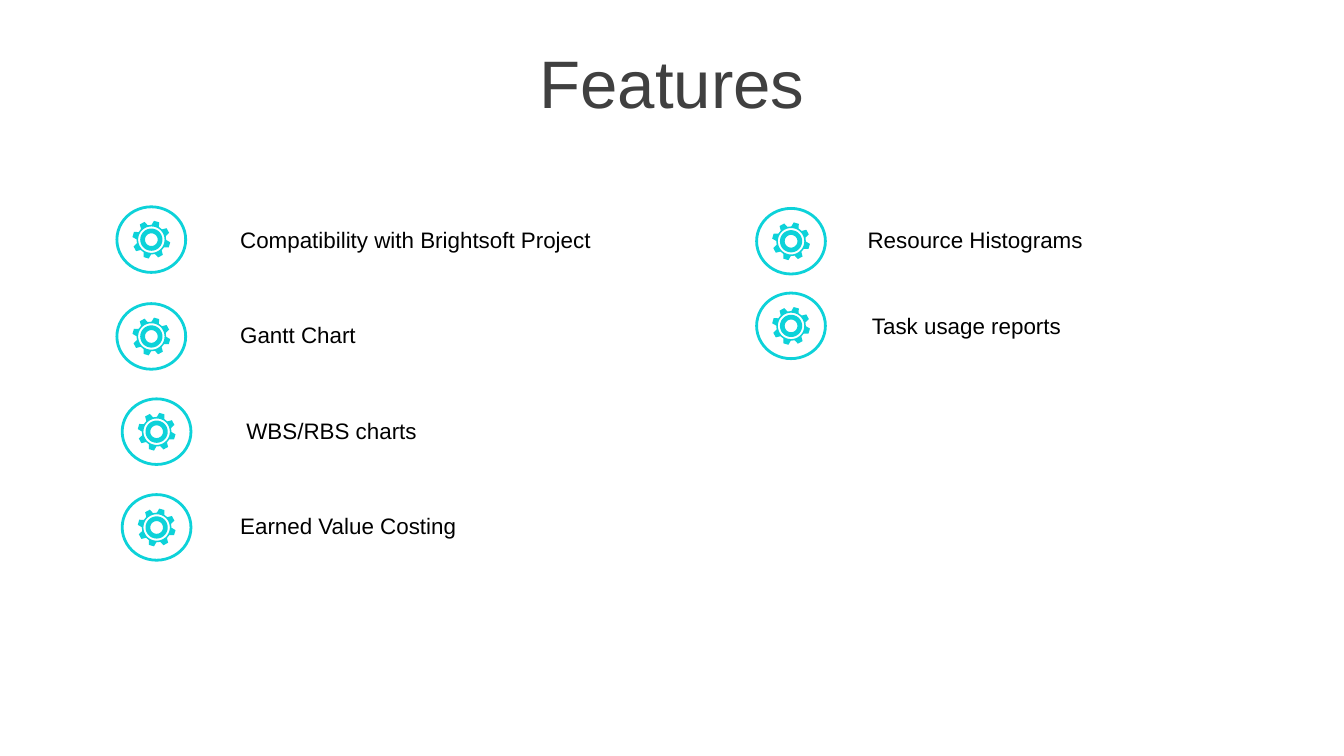
import math
from dataclasses import dataclass

import pptx
import pptx.dml.color
import pptx.enum.shapes
import pptx.enum.text
import pptx.slide
import pptx.text.text
import pptx.util

Cm = pptx.util.Cm
FONT = "Arial"
CYAN, WHITE, BLACK, GREY = "0DD2D9", "FFFFFF", "000000", "404040"
DISC_W, DISC_H = 1.3, 1.24
TEETH, TILT = 8, 16
ROOT, TIP = 0.28, 0.36
RINGS = (0.25, 0.21, 0.12)


@dataclass
class Item:
    """One feature: its label and the corners of its disc and text, in cm."""
    label: str
    disc_x: float
    disc_y: float
    text_x: float
    text_y: float


ITEMS = [
    Item("Compatibility with\u00a0Brightsoft Project", 2.21, 3.91, 4.29, 4.14),
    Item("Gantt Chart", 2.21, 5.74, 4.29, 5.94),
    Item("\u00a0WBS/RBS charts", 2.31, 7.54, 4.29, 7.75),
    Item("Earned Value Costing", 2.31, 9.35, 4.29, 9.55),
    Item("\u00a0Resource Histograms", 14.3, 3.94, 16.03, 4.14),
    Item("Task usage reports", 14.3, 5.54, 16.23, 5.77),
]


def color(code: str) -> pptx.dml.color.RGBColor:
    """Turn a hex string into a colour."""
    return pptx.dml.color.RGBColor.from_string(code)


def style(frame: pptx.text.text.TextFrame, size: int, code: str) -> None:
    """Centre the frame's text vertically and set its font."""
    frame.word_wrap = True
    frame.vertical_anchor = pptx.enum.text.MSO_ANCHOR.MIDDLE
    for run in frame.paragraphs[0].runs:
        run.font.name = FONT
        run.font.size = pptx.util.Pt(size)
        run.font.color.rgb = color(code)


def polar(x: float, y: float, r: float, deg: float) -> tuple[int, int]:
    """Give the point at an angle and radius around a centre in cm."""
    a = math.radians(deg)
    return Cm(x + r * math.cos(a)), Cm(y + r * math.sin(a))


def draw_gear(slide: pptx.slide.Slide, x: float, y: float) -> None:
    """Draw a toothed wheel with a thin groove and a hole."""
    tooth = ((-15, ROOT), (-8, TIP), (8, TIP), (15, ROOT))
    rim = [polar(x, y, r, TILT + n * 360 / TEETH + turn)
           for n in range(TEETH) for turn, r in tooth]
    loops = [rim] + [[polar(x, y, r, deg) for deg in range(0, 360, 10)]
                     for r in RINGS]
    pen = slide.shapes.build_freeform(*rim[0])
    for loop in loops:
        if loop is not rim:
            pen.move_to(*loop[0])
        pen.add_line_segments(loop[1:], close=True)
    gear = pen.convert_to_shape()
    gear.shadow.inherit = False
    gear.fill.solid()
    gear.fill.fore_color.rgb = color(CYAN)
    gear.line.fill.background()


def draw_item(slide: pptx.slide.Slide, item: Item) -> None:
    """Draw a feature's disc, gear and label."""
    disc = slide.shapes.add_shape(
        pptx.enum.shapes.MSO_SHAPE.OVAL,
        Cm(item.disc_x), Cm(item.disc_y), Cm(DISC_W), Cm(DISC_H))
    disc.shadow.inherit = False
    disc.fill.solid()
    disc.fill.fore_color.rgb = color(WHITE)
    disc.line.color.rgb = color(CYAN)
    disc.line.width = pptx.util.Pt(1.5)
    draw_gear(slide, item.disc_x + DISC_W / 2, item.disc_y + DISC_H / 2)
    box = slide.shapes.add_textbox(
        Cm(item.text_x), Cm(item.text_y), Cm(7.87), Cm(0.77))
    box.text_frame.text = item.label
    style(box.text_frame, 12, BLACK)


def draw_title(slide: pptx.slide.Slide, text: str) -> None:
    """Place and format the slide's title."""
    title = slide.shapes.title
    title.left, title.top = Cm(0), Cm(0.74)
    title.width, title.height = Cm(25.4), Cm(1.6)
    frame = title.text_frame
    frame.text = text
    frame.auto_size = pptx.enum.text.MSO_AUTO_SIZE.NONE
    frame.paragraphs[0].alignment = pptx.enum.text.PP_ALIGN.CENTER
    style(frame, 36, GREY)


def main() -> None:
    """Build and save the deck."""
    deck = pptx.Presentation()
    deck.slide_width, deck.slide_height = Cm(25.4), Cm(14.29)
    slide = deck.slides.add_slide(deck.slide_layouts[5])
    draw_title(slide, "Features")
    for item in ITEMS:
        draw_item(slide, item)
    deck.save("out.pptx")


main()
